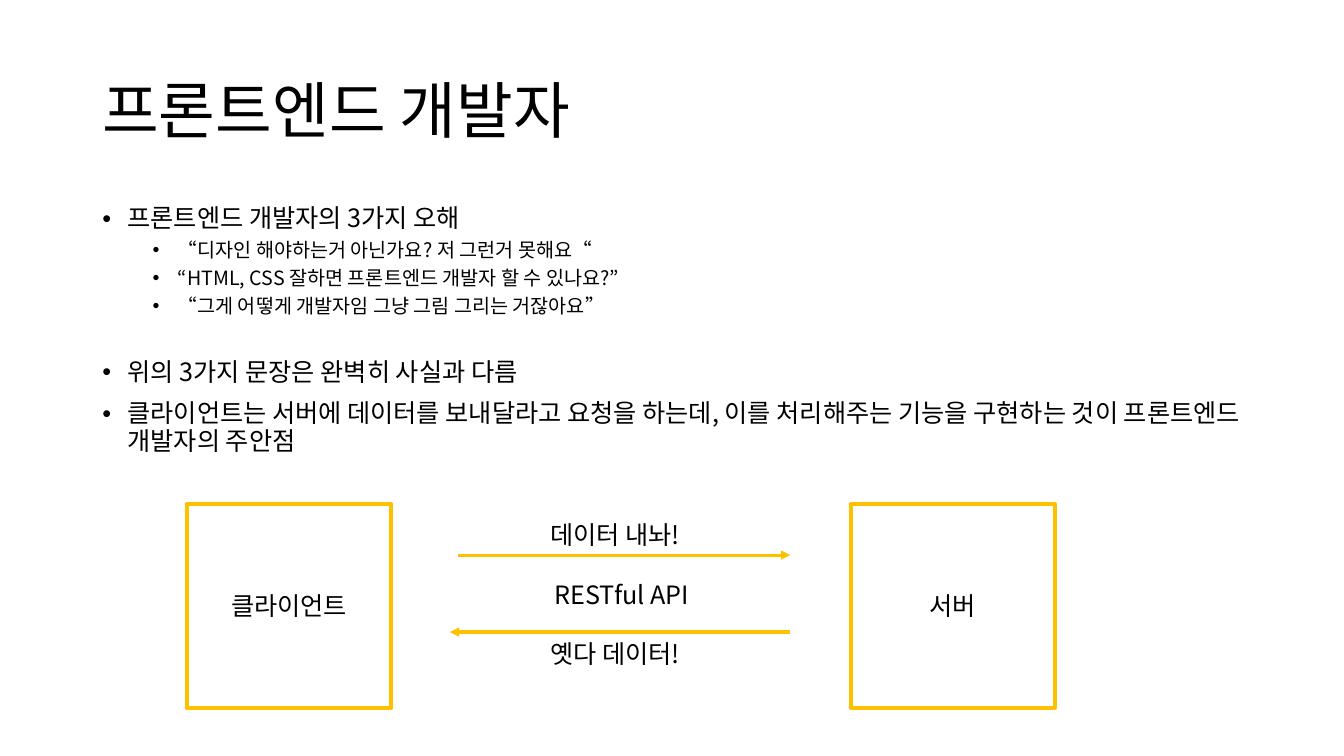
import pptx
import pptx.util
import pptx.dml.color
import pptx.enum.shapes
import pptx.enum.text
import pptx.oxml.ns
from dataclasses import dataclass
from lxml import etree

Pt = pptx.util.Pt
ALIGN = pptx.enum.text.PP_ALIGN
ANCHOR = pptx.enum.text.MSO_ANCHOR


@dataclass(frozen=True)
class Theme:
    ink: str = "000000"
    paper: str = "FFFFFF"
    accent: str = "FFC000"
    title_font: str = "Calibri"
    body_font: str = "Noto Sans CJK KR"
    title_size: int = 44
    body_size: int = 18
    detail_size: int = 14


THEME = Theme()

BULLETS = [
    (0, 0, "프론트엔드 개발자의 3가지 오해"),
    (1, 5, "“디자인 해야하는거 아닌가요? 저 그런거 못해요“"),
    (1, 5, "“HTML, CSS 잘하면 프론트엔드 개발자 할 수 있나요?”"),
    (1, 5, "“그게 어떻게 개발자임 그냥 그림 그리는 거잖아요”"),
    (0, 30, "위의 3가지 문장은 완벽히 사실과 다름"),
    (0, 10, "클라이언트는 서버에 데이터를 보내달라고 요청을 하는데, "
            "이를 처리해주는 기능을 구현하는 것이 프론트엔드 개발자의 주안점"),
]


def color(value):
    return pptx.dml.color.RGBColor.from_string(value)


def add_element(parent, tag, **attributes):
    return etree.SubElement(parent, pptx.oxml.ns.qn(tag), attributes)


def add_run(paragraph, text, size=THEME.body_size, font=THEME.body_font):
    run = paragraph.add_run()
    run.text = text
    run.font.size = Pt(size)
    run.font.name = font
    run.font.color.rgb = color(THEME.ink)
    add_element(run.font._element, "a:ea", typeface=font)


def add_text_box(slide, left, top, width, height):
    shape = slide.shapes.add_textbox(Pt(left), Pt(top), Pt(width), Pt(height))
    shape.text_frame.word_wrap = True
    return shape.text_frame


def add_title(slide, text):
    frame = add_text_box(slide, 66, 28.75, 828, 104.4)
    frame.vertical_anchor = ANCHOR.MIDDLE
    paragraph = frame.paragraphs[0]
    paragraph.line_spacing = 0.9
    add_run(paragraph, text, THEME.title_size, THEME.title_font)


def add_bullets(slide, bullets):
    frame = add_text_box(slide, 66, 143.75, 828, 367)
    for index, (level, space_before, text) in enumerate(bullets):
        paragraph = frame.add_paragraph() if index else frame.paragraphs[0]
        paragraph.level = level
        paragraph.line_spacing = 0.9
        paragraph.space_before = Pt(space_before)
        properties = paragraph._p.get_or_add_pPr()
        properties.set("marL", str(Pt(18 + 36 * level)))
        properties.set("indent", str(Pt(-18)))
        add_element(properties, "a:buFont", typeface="Arial")
        add_element(properties, "a:buChar", char="•")
        add_run(paragraph, text, THEME.detail_size if level else THEME.body_size)


def add_node(slide, left, text):
    shape = slide.shapes.add_shape(
        pptx.enum.shapes.MSO_SHAPE.RECTANGLE, Pt(left), Pt(360), Pt(145.6), Pt(145.6))
    shape.shadow.inherit = False
    shape.fill.solid()
    shape.fill.fore_color.rgb = color(THEME.paper)
    shape.line.color.rgb = color(THEME.accent)
    shape.line.width = Pt(3)
    shape.text_frame.vertical_anchor = ANCHOR.MIDDLE
    paragraph = shape.text_frame.paragraphs[0]
    paragraph.alignment = ALIGN.CENTER
    add_run(paragraph, text)


def add_arrow(slide, start, end, y):
    connector = slide.shapes.add_connector(
        pptx.enum.shapes.MSO_CONNECTOR.STRAIGHT, Pt(start), Pt(y), Pt(end), Pt(y))
    connector.line.color.rgb = color(THEME.accent)
    connector.line.width = Pt(2.25)
    add_element(connector.line._get_or_add_ln(), "a:tailEnd", type="triangle")
    add_element(connector._element.spPr, "a:effectLst")


def add_label(slide, left, top, text):
    frame = add_text_box(slide, left, top, 114.5, 29)
    frame.auto_size = pptx.enum.text.MSO_AUTO_SIZE.SHAPE_TO_FIT_TEXT
    add_run(frame.paragraphs[0], text)


def main():
    presentation = pptx.Presentation()
    presentation.slide_width = Pt(960)
    presentation.slide_height = Pt(540)
    slide = presentation.slides.add_slide(presentation.slide_layouts[6])
    add_title(slide, "프론트엔드 개발자")
    add_bullets(slide, BULLETS)
    add_node(slide, 133.7, "클라이언트")
    add_node(slide, 607.9, "서버")
    add_arrow(slide, 327.5, 564.5, 396.5)
    add_arrow(slide, 564.5, 321.3, 451.5)
    add_label(slide, 386, 367.5, "데이터 내놔!")
    add_label(slide, 386, 452.5, "옛다 데이터!")
    add_label(slide, 388.8, 410.5, "RESTful API")
    presentation.save("out.pptx")


if __name__ == "__main__":
    main()
